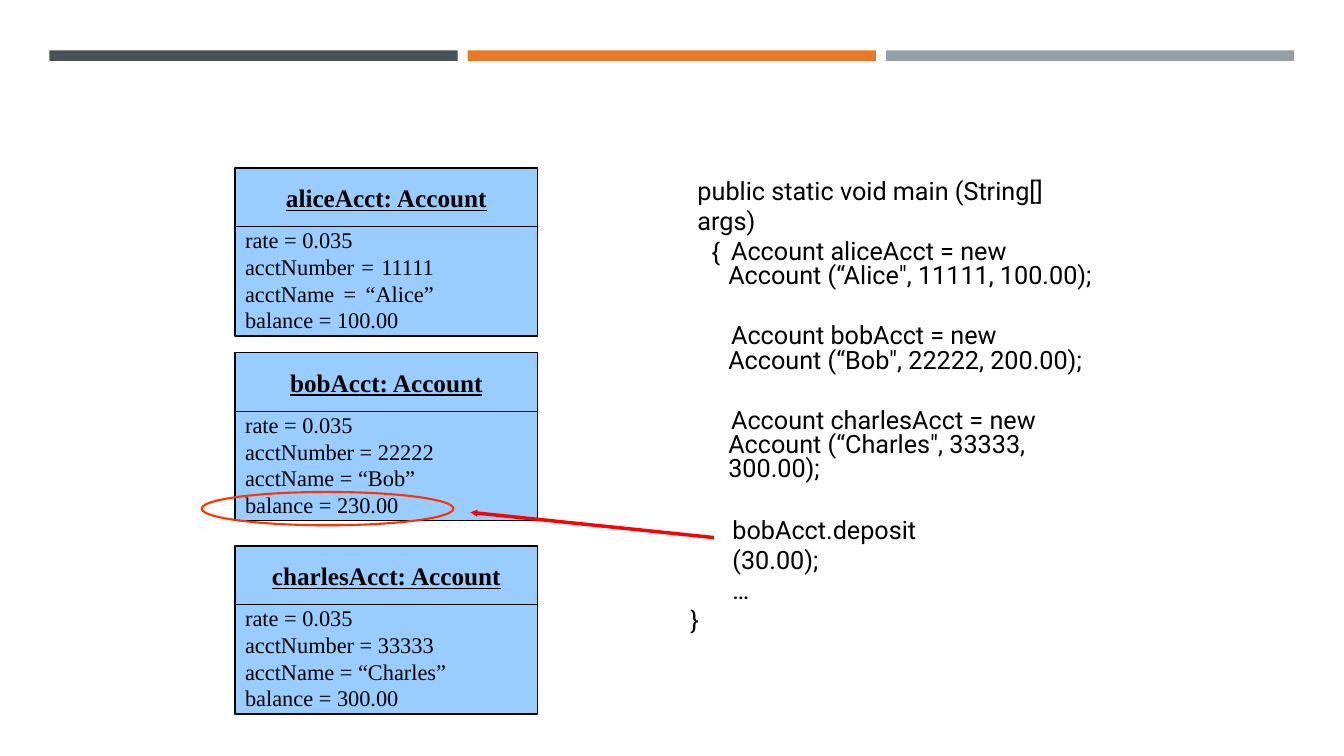
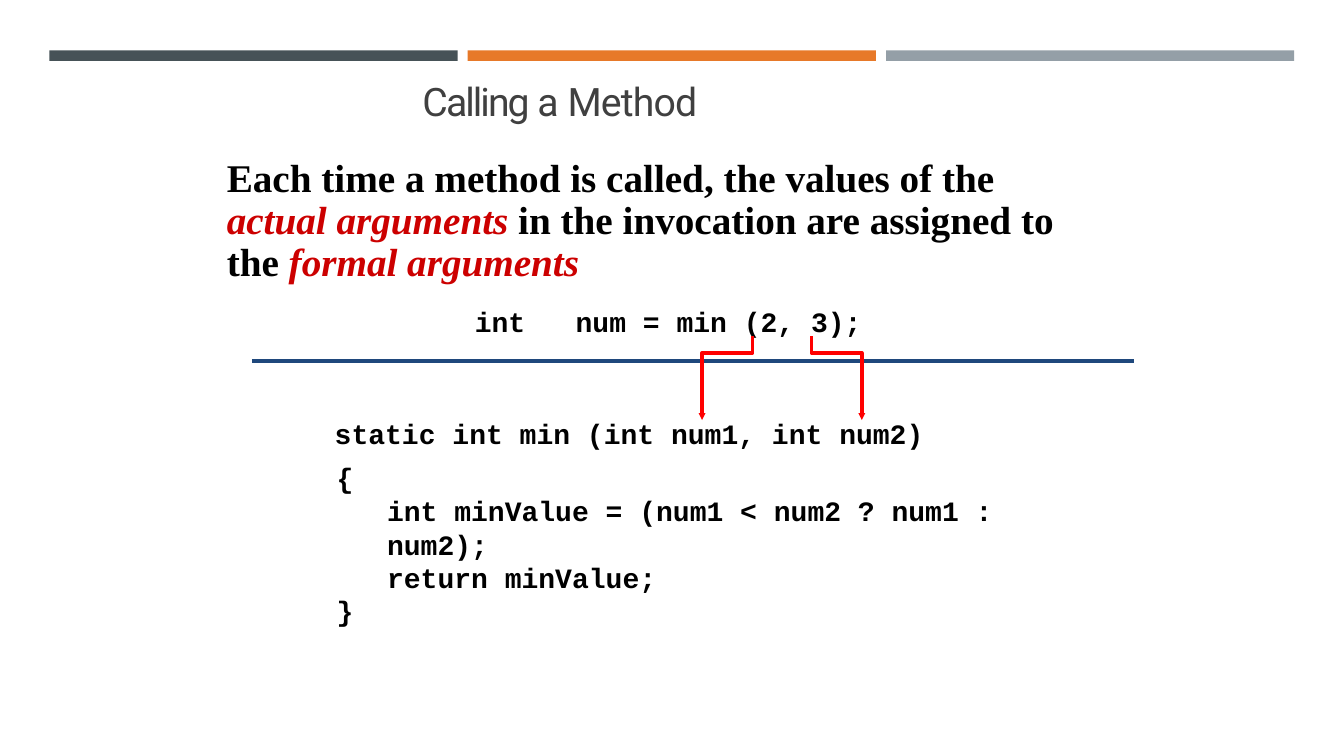
import pptx
import pptx.dml.color
import pptx.enum.shapes
import pptx.enum.text
import pptx.oxml
import pptx.oxml.ns
import pptx.util
from lxml import etree

Pt = pptx.util.Pt
ALIGN = pptx.enum.text.PP_ALIGN
ANCHOR = pptx.enum.text.MSO_ANCHOR
SHAPE = pptx.enum.shapes.MSO_SHAPE

BLACK, RED, DARK_RED, ORANGE_RED = "000000", "FF0000", "CC0000", "FF3300"
BANDS = ["465257", "E77929", "949FA7"]
RECORD_BLUE, RULE_BLUE, TITLE_GREY = "99CCFF", "1F487C", "404040"

SANS = {"name": "Roboto", "size": Pt(18)}
TITLE = {"name": "Roboto", "size": Pt(28), "color": TITLE_GREY}
RECORD = {"name": "Times New Roman", "size": Pt(16)}
RECORD_NAME = {**RECORD, "size": Pt(18), "bold": True, "underline": True}
STATEMENT = {"name": "Times New Roman", "size": Pt(28), "bold": True}
TERM = {"italic": True, "color": DARK_RED}
MONO = {"name": "Courier New", "size": Pt(20), "bold": True}


def color(value):
    return pptx.dml.color.RGBColor.from_string(value)


def set_values(target, values):
    for name, value in values.items():
        setattr(target, name, value)


def child(parent, tag, **attributes):
    return etree.SubElement(parent, pptx.oxml.ns.qn(tag), **attributes)


# Text
def add_span(para, text, style):
    style = dict(style)
    ink = style.pop("color", BLACK)
    tracking = style.pop("tracking", 0)
    for number, line in enumerate(text.split("\n")):
        if number:
            para.add_line_break()
        if not line:
            continue
        span = para.add_run()
        span.text = line
        set_values(span.font, style)
        span.font.color.rgb = color(ink)
        if tracking:
            span.font._element.set("spc", str(round(tracking * 100)))


def write(frame, paras, style, insets=(0, 0, 0, 0), anchor=ANCHOR.TOP):
    """Each para is (spans, format); each span is text or (text, style)."""
    left, top, right, bottom = map(Pt, insets)
    set_values(frame, {
        "word_wrap": True, "vertical_anchor": anchor, "margin_left": left,
        "margin_top": top, "margin_right": right, "margin_bottom": bottom})
    for number, (spans, layout) in enumerate(paras):
        para = frame.add_paragraph() if number else frame.paragraphs[0]
        layout = {"alignment": ALIGN.LEFT, **layout}
        left, first = layout.pop("left", 0), layout.pop("first", 0)
        tab = layout.pop("tab", None)
        set_values(para, layout)
        properties = para._p.get_or_add_pPr()
        properties.set("marL", str(Pt(left)))
        properties.set("indent", str(Pt(first)))
        if tab:
            stops = child(properties, "a:tabLst")
            child(stops, "a:tab", pos=str(Pt(tab)), algn="l")
        for span in [spans] if isinstance(spans, str) else spans:
            text, extra = (span, {}) if isinstance(span, str) else span
            add_span(para, text, {**style, **extra})


def add_text(page, box, paras, style, top=1):
    shape = page.shapes.add_textbox(*map(Pt, box))
    write(shape.text_frame, paras, style, (0, top, 0, 0))


# Shapes and lines
def finish(shape, fill=None, line=None, width=1):
    shape.shadow.inherit = False
    if fill:
        shape.fill.solid()
        shape.fill.fore_color.rgb = color(fill)
    else:
        shape.fill.background()
    if line:
        shape.line.color.rgb = color(line)
        shape.line.width = Pt(width)
    else:
        shape.line.fill.background()
    return shape


def add_box(page, kind, box, **look):
    return finish(page.shapes.add_shape(kind, *map(Pt, box)), **look)


def add_head(shape):
    child(shape.line._get_or_add_ln(), "a:tailEnd",
          type="triangle", w="sm", len="sm")


def add_line(page, start, end, ink, width=2.5):
    line = page.shapes.add_connector(
        pptx.enum.shapes.MSO_CONNECTOR.STRAIGHT, *map(Pt, start + end))
    line.line.color.rgb = color(ink)
    line.line.width = Pt(width)
    child(line._element.spPr, "a:effectLst")
    return line


def add_bent_arrow(page, start, end, bend):
    (x1, y1), (x2, y2) = start, end
    points = [(Pt(x), Pt(y)) for x, y in [(x1, bend), (x2, bend), (x2, y2)]]
    outline = page.shapes.build_freeform(Pt(x1), Pt(y1))
    outline.add_line_segments(points, close=False)
    add_head(finish(outline.convert_to_shape(), line=RED, width=2.5))


# Shared top bands
def add_page(deck):
    page = deck.slides.add_slide(deck.slide_layouts[6])
    for number, fill in enumerate(BANDS):
        box = (35.3 + number * 298.8, 36, 291.6, 7.5)
        add_box(page, SHAPE.RECTANGLE, box, fill=fill)
    return page


# One account record: name above its fields
def add_record(page, box, name, fields, justified=False):
    left, top, width, height = box
    head = 42
    look = {"fill": RECORD_BLUE, "line": BLACK}
    header = add_box(page, SHAPE.RECTANGLE, (left, top, width, head), **look)
    write(header.text_frame, [(f"{name}: Account", {"alignment": ALIGN.CENTER})],
          RECORD_NAME, anchor=ANCHOR.MIDDLE)
    body = add_box(page, SHAPE.RECTANGLE,
                   (left, top + head, width, height - head), **look)
    layout, right = {"line_spacing": Pt(19)}, 0
    if justified:
        fields = [fields[0], " ".join(fields[1:])]
        layout["alignment"], right = ALIGN.JUSTIFY, 74
    write(body.text_frame, [(field, layout) for field in fields],
          RECORD, (7.2, 0, right, 0))


def add_main_code(page, left, top):
    even = {"line_spacing": Pt(21.8)}
    tight = {"line_spacing": 0.8, "space_before": Pt(5.3), "left": 0.7, "first": 2}
    # Left, top, width, top inset, paragraphs
    blocks = [
        (5, 0, 292, 1, [("public static void main (String[]\nargs)", {**even, "left": 0.7}),
                        ("{", {**even, "left": 10.8})]),
        (27, 43.2, 275, 5, [("Account aliceAcct = new\n"
                             "Account (“Alice\", 11111, 100.00);", tight)]),
        (27, 103.7, 275, 5, [("Account bobAcct = new\n"
                              "Account (“Bob\", 22222, 200.00);", tight)]),
        (27, 164.2, 275, 5, [("Account charlesAcct = new\n"
                              "Account (“Charles\", 33333,", tight),
                             ("300.00);", {"line_spacing": Pt(17.3), "left": 0.7})]),
        (30, 242, 197, 1, [("bobAcct.deposit\n(30.00);", {**even, "left": 0.7})]),
        (30, 285.2, 20, 1, [("…", {**even, "left": 0.7})]),
        (0, 306.8, 20, 1, [("}", {**even, "left": 0.7})]),
    ]
    for x, y, width, inset, paras in blocks:
        add_text(page, (left + x, top + y, width, 24), paras, SANS, inset)


def build_objects_page(deck):
    page = add_page(deck)
    add_main_code(page, 492.5, 123.8)
    records = [(120, "aliceAcct", "11111", "Alice", "100.00"),
               (252, "bobAcct", "22222", "Bob", "230.00"),
               (390, "charlesAcct", "33333", "Charles", "300.00")]
    for top, name, number, owner, balance in records:
        fields = ["rate = 0.035", f"acctNumber = {number}",
                  f"acctName = “{owner}”", f"balance = {balance}"]
        add_record(page, (168, top, 216, 120), name, fields, owner == "Alice")
    # Changed balance
    add_box(page, SHAPE.OVAL, (144, 351.4, 180, 23.8), line=ORANGE_RED, width=1.5)
    add_head(add_line(page, (510, 384), (336, 366), RED))


def add_method_text(page, box):
    code = {"line_spacing": Pt(23.8)}
    paras = [
        (["Each time a method is called, the values of the\n",
          ("actual arguments", TERM), " in the invocation are assigned to\nthe ",
          ("formal arguments", TERM)],
         {"line_spacing": Pt(30), "space_before": Pt(1), "left": 0.7}),
        ([("int\tnum = min (2, 3);", MONO)],
         {**code, "alignment": ALIGN.CENTER, "space_before": Pt(14.5), "tab": 60}),
    ]
    listing = [("static int min (int num1, int num2)", 77.8, 56.2),
               ("{", 79.2, 7.8),
               ("int minValue = (num1 < num2 ? num1 : num2);", 115.2, 0),
               ("return minValue;", 115.2, 0),
               ("}", 79.2, 0)]
    paras += [([(text, MONO)], {**code, "left": left, "space_before": Pt(gap)})
              for text, left, gap in listing]
    add_text(page, box, paras, STATEMENT, 4.3)


def build_call_page(deck):
    page = add_page(deck)
    title = [("Calling ", {"tracking": -1.4}), ("a", {"tracking": -3}),
             (" Method", {"tracking": -0.6})]
    add_text(page, (82.8, 54, 673, 50),
             [(title, {"left": 219, "space_before": Pt(0.9)})], TITLE)
    add_method_text(page, (161.3, 108.7, 632.2, 314))
    # Rule and argument arrows
    add_line(page, (180, 258), (810, 258), RULE_BLUE)
    for start, end in [(537.5, 501.5), (579.6, 615.6)]:
        add_bent_arrow(page, (start, 240), (end, 300), 252)


def main():
    deck = pptx.Presentation()
    set_values(deck, {"slide_width": Pt(960), "slide_height": Pt(540)})
    build_objects_page(deck)
    build_call_page(deck)
    deck.save("out.pptx")


if __name__ == "__main__":
    main()
